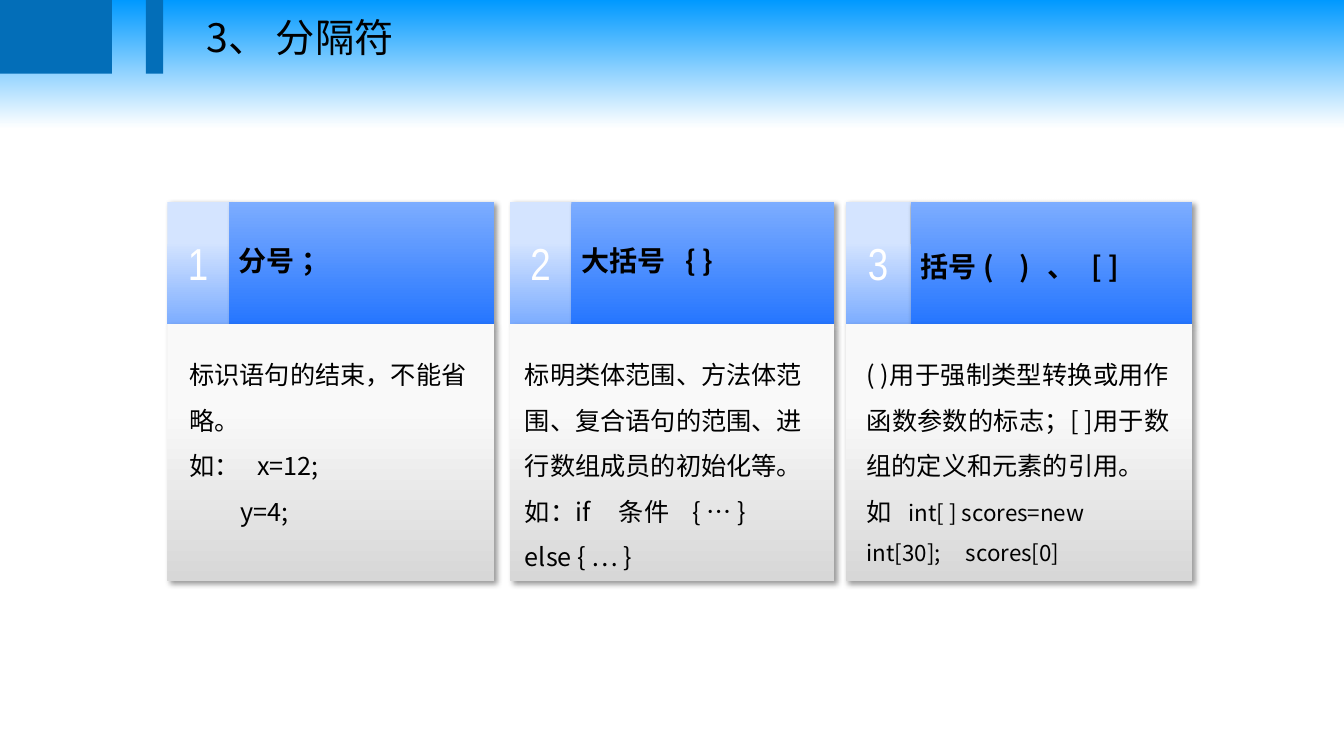
from dataclasses import dataclass
from lxml.etree import SubElement
from pptx import Presentation
from pptx.dml.color import RGBColor
from pptx.enum.shapes import MSO_SHAPE
from pptx.enum.text import MSO_ANCHOR, MSO_AUTO_SIZE, PP_ALIGN
from pptx.oxml.ns import qn
from pptx.util import Cm, Pt


@dataclass(frozen=True)
class Theme:
    sans: str = "Noto Sans CJK SC"
    narrow: str = "Arial Narrow"
    ink: str = "000000"
    white: str = "FFFFFF"
    bar: str = "036EB8"
    sky: tuple = ((0, "0099FF"), (0.17, "FFFFFF"))
    badge: tuple = ((0.33, "D4E4FF"), (1, "7DADFF"))
    head: tuple = ((0, "7DADFF"), (1, "2676FF"))
    body: tuple = ((0.33, "F9F9F9"), (1, "D7D7D7"))
    title: int = 28
    digit: int = 32
    label: int = 20
    text: int = 18
    code: int = 16


@dataclass(frozen=True)
class Line:
    runs: tuple
    tabs: tuple = ()
    left: float = 0
    align: PP_ALIGN = PP_ALIGN.LEFT


@dataclass(frozen=True)
class Card:
    left: float
    width: float
    badge: float
    inset: float
    column: float
    label: Line
    space: float
    lines: tuple


T = Theme()
TOP, HEAD, BODY = 5.08, 3.08, 6.48

CARDS = (
    Card(4.22, 8.23, 1.55, 0.3, 7.67, Line(("分号 ；",)), 0.9, (
        Line(("标识语句的结束，不能省略。",)),
        Line(("如：\tx=12;",), tabs=(1.71,)),
        Line(("y=4;",), left=1.28),
    )),
    Card(12.85, 8.18, 1.55, 0.13, 7.59, Line(("大括号\t{ }",), tabs=(2.62,)), 0.9, (
        Line(("标明类体范围、方法体范围、复合语句的范围、进行数组成员的初始化等。",)),
        Line(("如：if\t条件\t{ … }", "\n", "else { … }"), tabs=(2.37, 4.23)),
    )),
    Card(21.31, 8.73, 1.64, 0.28, 8.13,
         Line(("括号 (\t)\t、\t[ ]",), tabs=(2.5, 3.2, 4.3)), 1.2, (
        Line(("( )用于强制类型转换或用作函数参数的标志；[ ]用于数组的定义和元素的引用。",),
             align=PP_ALIGN.JUSTIFY),
        Line(("如", ("\tint[ ] scores=new", T.code), "\n",
              ("int[30];\tscores[0]", T.code)), tabs=(1.06, 2.5)),
    )),
)


def blend(fill, stops):
    fill.gradient()
    fill.gradient_angle = 270
    for stop, (place, tint) in zip(fill.gradient_stops, stops):
        stop.position = place
        stop.color.rgb = RGBColor.from_string(tint)


def shade(shape):
    effects = shape._element.spPr.find(qn("a:effectLst"))
    outer = SubElement(effects, qn("a:outerShdw"), blurRad=str(Pt(4)), dist=str(Pt(3)),
                       dir="2700000", algn="tl", rotWithShape="0")
    tint = SubElement(outer, qn("a:srgbClr"), val=T.ink)
    SubElement(tint, qn("a:alpha"), val="40000")


def block(shapes, left, top, width, height, paint):
    shape = shapes.add_shape(MSO_SHAPE.RECTANGLE, Cm(left), Cm(top), Cm(width), Cm(height))
    shape.shadow.inherit = False
    shape.line.fill.background()
    if isinstance(paint, str):
        shape.fill.solid()
        shape.fill.fore_color.rgb = RGBColor.from_string(paint)
    else:
        blend(shape.fill, paint)
        shade(shape)
    return shape


def write(frame, lines, size, face=T.sans, tint=T.ink, bold=False, space=1.0):
    frame.word_wrap = True
    for index, line in enumerate(lines):
        para = frame.add_paragraph() if index else frame.paragraphs[0]
        para.alignment = line.align
        para.line_spacing = space
        props = para._p.get_or_add_pPr()
        if line.left:
            props.set("marL", str(Cm(line.left)))
            props.set("indent", "0")
        if line.tabs:
            stops = SubElement(props, qn("a:tabLst"))
            for place in line.tabs:
                SubElement(stops, qn("a:tab"), pos=str(Cm(place)), algn="l")
        for part in line.runs:
            if part == "\n":
                para.add_line_break()
                continue
            text, points = (part, size) if isinstance(part, str) else part
            run = para.add_run()
            run.text = text
            font = run.font
            font.name, font.size, font.bold = face, Pt(points), bold
            font.color.rgb = RGBColor.from_string(tint)
            SubElement(run._r.get_or_add_rPr(), qn("a:ea"), typeface=face)


def label(shapes, left, top, width, height, lines, size, space=1.0):
    frame = shapes.add_textbox(Cm(left), Cm(top), Cm(width), Cm(height)).text_frame
    frame.auto_size = MSO_AUTO_SIZE.SHAPE_TO_FIT_TEXT
    write(frame, lines, size, space=space)


def banner(slide):
    shapes = slide.shapes.add_group_shape().shapes
    for left, width in ((0, 2.82), (3.68, 0.43)):
        block(shapes, left, 0, width, 1.86, T.bar)
    label(shapes, 4.95, 0.2, 14.66, 1.45, (Line(("3、 分隔符",)),), T.title)


def panel(slide, number, card):
    shapes = slide.shapes.add_group_shape().shapes
    badge = block(shapes, card.left, TOP, card.badge, HEAD, T.badge).text_frame
    head = block(shapes, card.left + card.badge, TOP, card.width - card.badge,
                 HEAD, T.head).text_frame
    badge.vertical_anchor = head.vertical_anchor = MSO_ANCHOR.MIDDLE
    write(badge, (Line((str(number),), align=PP_ALIGN.CENTER),), T.digit, T.narrow, T.white)
    write(head, (card.label,), T.label, bold=True, space=card.space)
    block(shapes, card.left, TOP + HEAD, card.width, BODY, T.body)
    label(shapes, card.left + card.inset, TOP + HEAD + 0.4, card.column, BODY - 0.7,
          card.lines, T.text, 1.5)


def main():
    deck = Presentation()
    deck.slide_width, deck.slide_height = Cm(33.87), Cm(19.05)
    slide = deck.slides.add_slide(deck.slide_layouts[6])
    blend(slide.background.fill, T.sky)
    banner(slide)
    for number, card in enumerate(CARDS, 1):
        panel(slide, number, card)
    deck.save("out.pptx")


if __name__ == "__main__":
    main()
